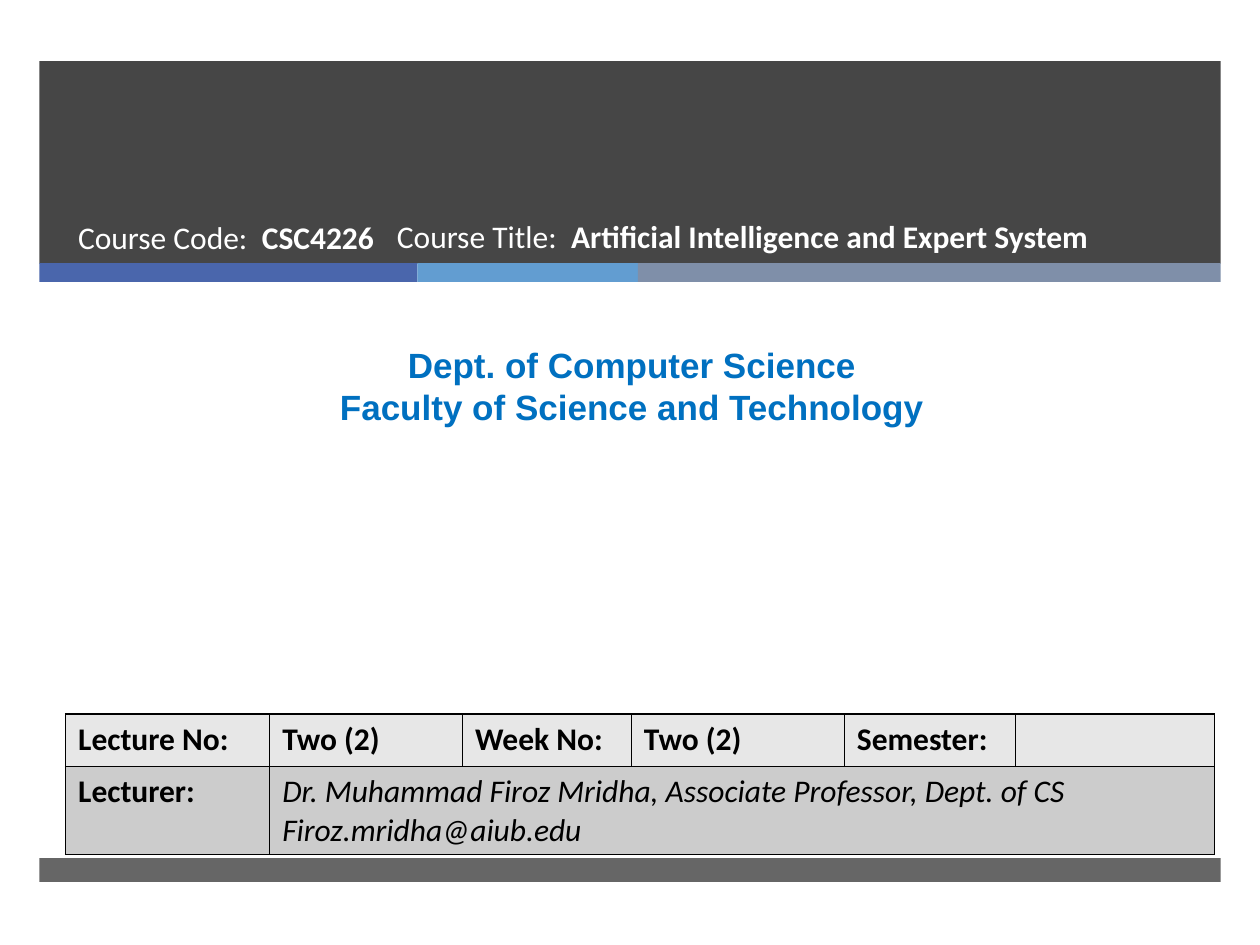
from lxml.etree import SubElement
from pptx import Presentation
from pptx.dml.color import RGBColor
from pptx.enum.shapes import MSO_SHAPE
from pptx.enum.text import MSO_ANCHOR, MSO_AUTO_SIZE, PP_ALIGN
from pptx.oxml.ns import qn
from pptx.util import Pt

COLORS = {
    "dark": "262626",
    "indigo": "4A66AC",
    "sky": "629DD1",
    "slate": "7F8FA9",
    "heading": "0070C0",
    "white": "FFFFFF",
    "black": "000000",
    "light_row": "E7E7E7",
    "dark_row": "CCCCCC",
}
BAND_LEFT, BAND_WIDTH = 22.5, 675
COLUMN_WIDTHS = [116.6, 110.2, 96.5, 121.7, 97.9, 113.8]
ROW_HEIGHTS = [30, 50]
LECTURE_ROW = ["Lecture No:", "Two (2)", "Week No:", "Two (2)", "Semester:", ""]
LECTURER = ["Dr. Muhammad Firoz Mridha, Associate Professor, Dept. of CS",
            "Firoz.mridha@aiub.edu"]


def rgb(name):
    return RGBColor.from_string(COLORS[name])


def style_font(font, name, size, color, bold=None, italic=None):
    font.name, font.size = name, Pt(size)
    font.color.rgb = rgb(color)
    font.bold, font.italic = bold, italic


def add_bar(slide, left, top, width, height, color, opacity=100):
    shape = slide.shapes.add_shape(MSO_SHAPE.RECTANGLE, Pt(left), Pt(top), Pt(width), Pt(height))
    shape.shadow.inherit = False
    shape.line.fill.background()
    shape.fill.solid()
    shape.fill.fore_color.rgb = rgb(color)
    if opacity < 100:
        fill_color = shape.fill._xPr.find(qn("a:solidFill"))[0]
        SubElement(fill_color, qn("a:alpha"), val=str(opacity * 1000))


def fill_course_line(shape, left, top, width, label, value):
    """Place a placeholder and write a plain label followed by a bold value."""
    shape.left, shape.top, shape.width, shape.height = Pt(left), Pt(top), Pt(width), Pt(38)
    frame = shape.text_frame
    frame.auto_size = MSO_AUTO_SIZE.NONE
    frame.vertical_anchor = MSO_ANCHOR.TOP
    frame.word_wrap = True
    paragraph = frame.paragraphs[0]
    paragraph.alignment = PP_ALIGN.LEFT
    paragraph.space_before = Pt(0)
    style_font(paragraph.font, "Calibri", 18, "white")
    paragraph.add_run().text = label
    run = paragraph.add_run()
    run.text = value
    run.font.bold = True


def add_department(slide):
    box = slide.shapes.add_textbox(Pt(5.8), Pt(193), Pt(710.6), Pt(55.4))
    frame = box.text_frame
    frame.word_wrap = True
    frame.text = "Dept. of Computer Science\nFaculty of Science and Technology"
    for paragraph in frame.paragraphs:
        paragraph.alignment = PP_ALIGN.CENTER
        style_font(paragraph.font, "Arial", 20, "heading", bold=True)


def add_borders(cell):
    properties = cell._tc.get_or_add_tcPr()
    for index, side in enumerate(("a:lnL", "a:lnR", "a:lnT", "a:lnB")):
        line = properties.makeelement(qn(side), {"w": str(Pt(1))})
        fill = SubElement(line, qn("a:solidFill"))
        SubElement(fill, qn("a:srgbClr"), val=COLORS["black"])
        properties.insert(index, line)


def write_cell(cell, text, italic=False):
    cell.text = text
    for paragraph in cell.text_frame.paragraphs:
        style_font(paragraph.font, "Calibri", 18, "black", bold=not italic, italic=italic)


def add_lecture_table(slide):
    frame = slide.shapes.add_table(2, len(COLUMN_WIDTHS), Pt(37.5), Pt(408),
                                   Pt(sum(COLUMN_WIDTHS)), Pt(sum(ROW_HEIGHTS)))
    table = frame.table
    table.first_row = table.horz_banding = False
    for column, width in zip(table.columns, COLUMN_WIDTHS):
        column.width = Pt(width)
    for row, height, color in zip(table.rows, ROW_HEIGHTS, ("light_row", "dark_row")):
        row.height = Pt(height)
        for cell in row.cells:
            cell.fill.solid()
            cell.fill.fore_color.rgb = rgb(color)
            add_borders(cell)
    for cell, text in zip(table.rows[0].cells, LECTURE_ROW):
        write_cell(cell, text)
    table.cell(1, 1).merge(table.cell(1, len(COLUMN_WIDTHS) - 1))
    write_cell(table.cell(1, 0), "Lecturer:")
    write_cell(table.cell(1, 1), "\n".join(LECTURER), italic=True)


def main():
    presentation = Presentation()
    presentation.slide_width, presentation.slide_height = Pt(720), Pt(540)
    slide = presentation.slides.add_slide(presentation.slide_layouts[0])

    add_bar(slide, BAND_LEFT, 35, BAND_WIDTH, 115.7, "dark", opacity=85)
    left = BAND_LEFT
    for width, color in ((216, "indigo"), (126, "sky"), (333, "slate")):
        add_bar(slide, left, 150.3, width, 10.8, color)
        left += width
    add_bar(slide, BAND_LEFT, 490.3, BAND_WIDTH, 13.7, "dark", opacity=70)

    title, subtitle = slide.shapes.title, slide.placeholders[1]
    fill_course_line(subtitle, 37.4, 121, 219.6, "Course Code:  ", "CSC4226")
    fill_course_line(title, 219.6, 120.2, 411.8, "Course Title:  ",
                     "Artificial Intelligence and Expert System")
    for shape in (subtitle, title):
        slide.shapes._spTree.append(shape._element)  # in front of the bars
    add_department(slide)
    add_lecture_table(slide)
    presentation.save("out.pptx")


if __name__ == "__main__":
    main()
